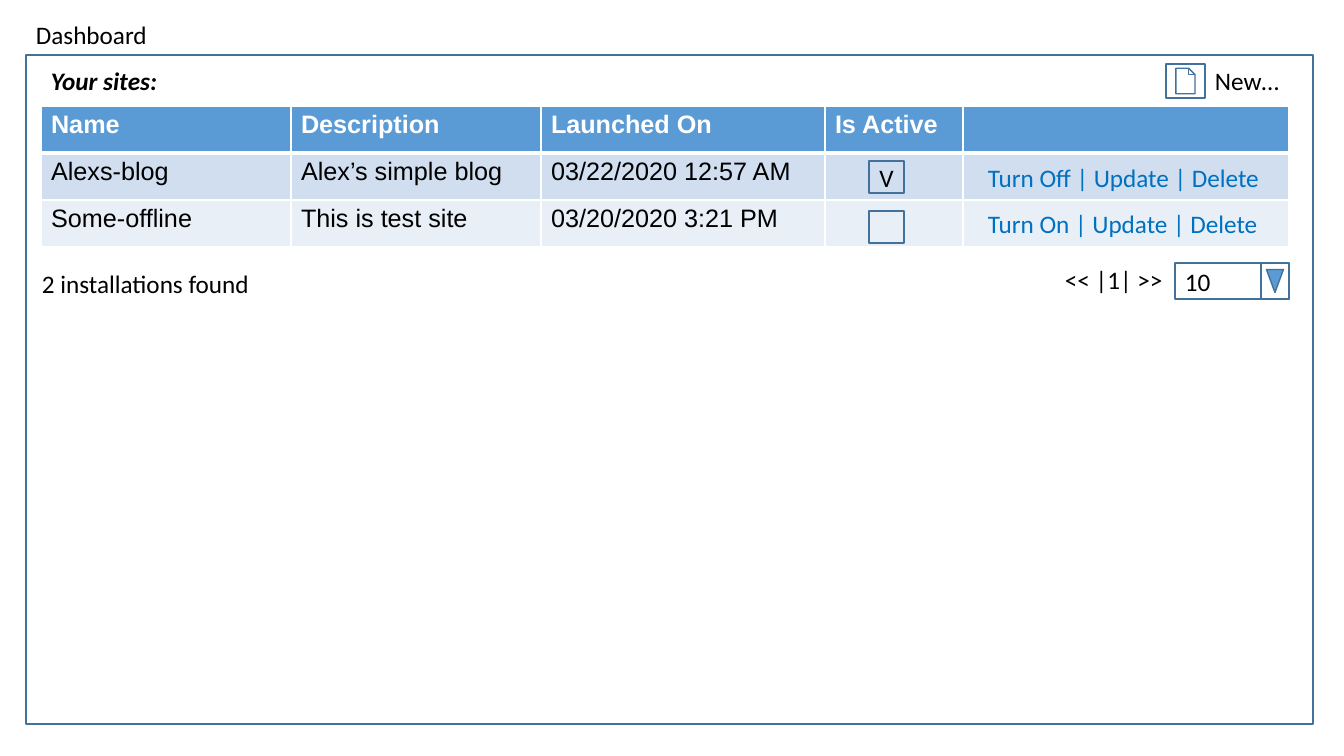
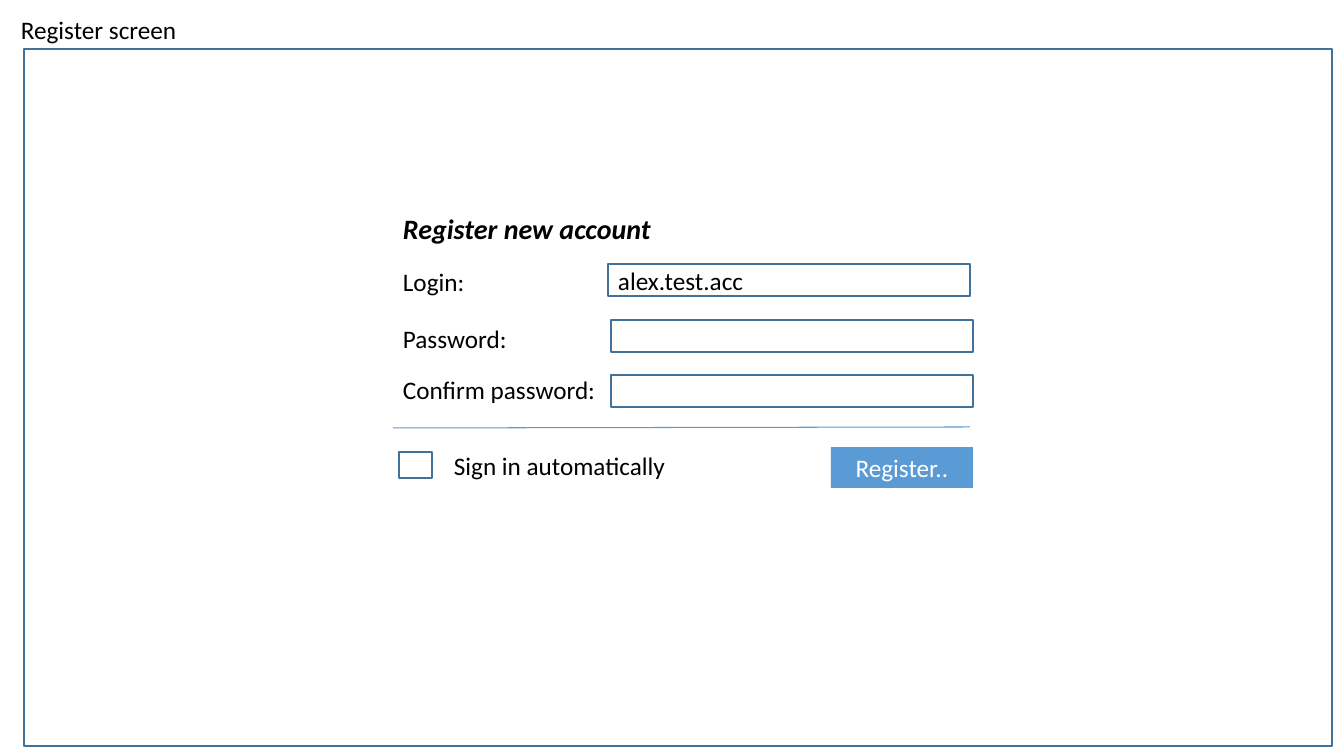
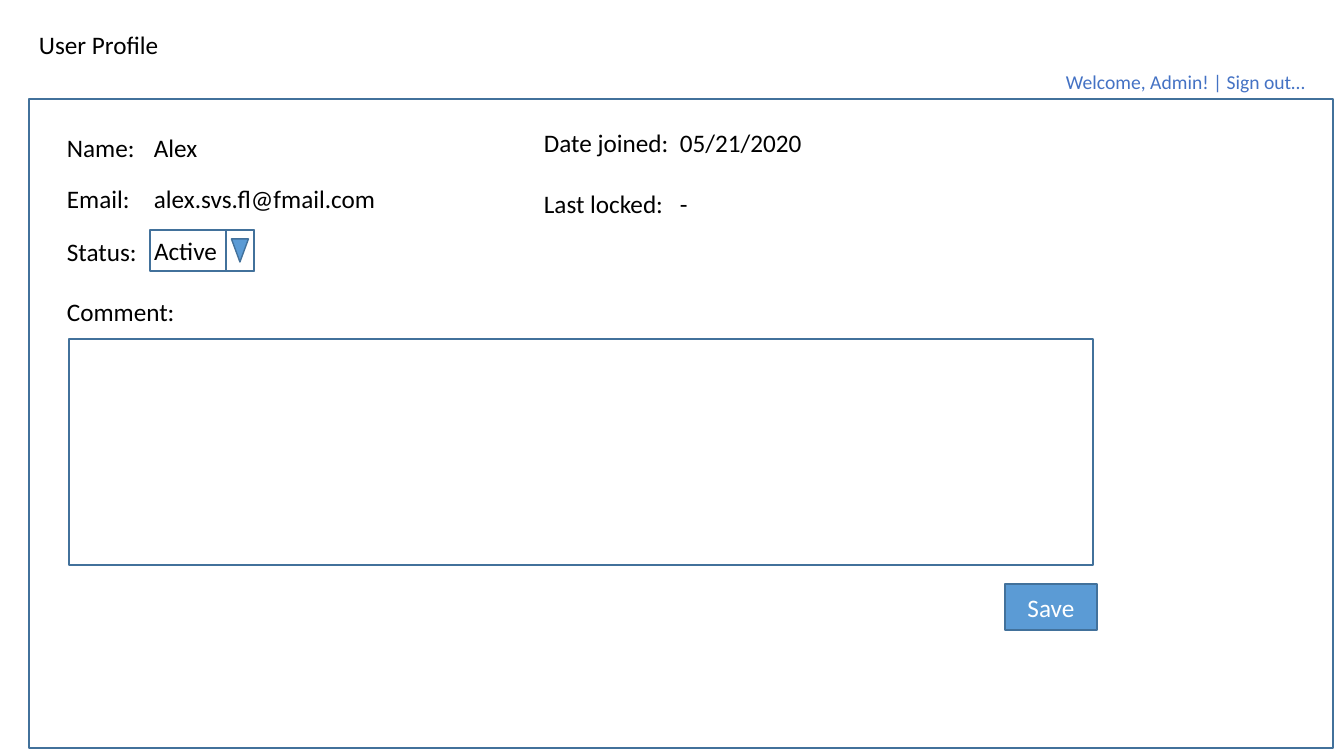
from lxml import etree
from pptx import Presentation
from pptx.dml.color import RGBColor
from pptx.enum.shapes import MSO_CONNECTOR, MSO_SHAPE
from pptx.enum.text import MSO_ANCHOR, PP_ALIGN
from pptx.oxml.ns import qn
from pptx.util import Pt

RECTANGLE = MSO_SHAPE.RECTANGLE
MERGE = MSO_SHAPE.FLOWCHART_MERGE
DOCUMENT = MSO_SHAPE.ACTION_BUTTON_DOCUMENT
STRAIGHT = MSO_CONNECTOR.STRAIGHT
MIDDLE = MSO_ANCHOR.MIDDLE
LEFT = PP_ALIGN.LEFT
CENTER = PP_ALIGN.CENTER

PX_PER_INCH = 100.8
EMU_PER_INCH = 914400


def px(length):
    return round(length * EMU_PER_INCH / PX_PER_INCH)


def color(value):
    return RGBColor.from_string(value)


class Wireframe:
    FONT = "Calibri"
    TABLE_FONT = "Arial"
    BLACK = "000000"
    WHITE = "FFFFFF"
    OUTLINE = "42719B"
    ACCENT = "5B9BD5"
    LINK = "0070C0"
    ACCOUNT = "4472C4"
    ROW_FILLS = ("D0DEEF", "E9EFF7")
    TEXT_HEIGHT = 40
    INSET = 10
    ARROW_BOX = 28
    ARROW = (17, 23)

    def __init__(self):
        self.presentation = Presentation()
        self.presentation.slide_width = px(1344)
        self.presentation.slide_height = px(756)
        self.slide = None

    def screen(self, title, title_left, title_top, frame):
        layout = self.presentation.slide_layouts[6]
        self.slide = self.presentation.slides.add_slide(layout)
        self.text(title, title_left, title_top, 300)
        self.box(*frame)

    def add_text(self, paragraph, text, size=18, ink=BLACK, font=FONT, bold=False, italic=False):
        run = paragraph.add_run()
        run.text = text
        run.font.name = font
        run.font.size = Pt(size)
        run.font.bold = bold
        run.font.italic = italic
        run.font.color.rgb = color(ink)

    def text(self, text, left, top, width, **style):
        shape = self.slide.shapes.add_textbox(px(left), px(top), px(width), px(self.TEXT_HEIGHT))
        shape.text_frame.word_wrap = True
        self.add_text(shape.text_frame.paragraphs[0], text, **style)

    def box(self, left, top, width, height, kind=RECTANGLE, fill=None, line=OUTLINE):
        shape = self.slide.shapes.add_shape(kind, px(left), px(top), px(width), px(height))
        shape.shadow.inherit = False
        if fill:
            shape.fill.solid()
            shape.fill.fore_color.rgb = color(fill)
        else:
            shape.fill.background()
        if line:
            shape.line.color.rgb = color(line)
            shape.line.width = Pt(1)
        else:
            shape.line.fill.background()
        return shape

    def label(self, shape, text, align, inset=0, ink=BLACK):
        frame = shape.text_frame
        frame.word_wrap = True
        frame.vertical_anchor = MIDDLE
        frame.margin_left = px(inset)
        frame.margin_right = frame.margin_top = frame.margin_bottom = 0
        frame.paragraphs[0].alignment = align
        self.add_text(frame.paragraphs[0], text, ink=ink)

    def field(self, left, top, width, height, text="", align=LEFT, inset=INSET):
        shape = self.box(left, top, width, height)
        if text:
            self.label(shape, text, align, inset)

    def checkbox(self, left, top, width, height, mark=""):
        self.field(left, top, width, height, mark, CENTER, 0)

    def button(self, text, left, top, width, height, line=OUTLINE):
        shape = self.box(left, top, width, height, fill=self.ACCENT, line=line)
        self.label(shape, text, CENTER, ink=self.WHITE)

    def dropdown(self, text, left, top, width, height, inset=INSET):
        self.field(left, top, width, height, text, inset=inset)
        arrow_left = left + width - self.ARROW_BOX
        self.box(arrow_left, top, self.ARROW_BOX, height)
        arrow_width, arrow_height = self.ARROW
        self.box(
            arrow_left + (self.ARROW_BOX - arrow_width) / 2,
            top + (height - arrow_height) / 2,
            arrow_width, arrow_height, MERGE, self.ACCENT,
        )

    def line(self, start, end):
        connector = self.slide.shapes.add_connector(STRAIGHT, *map(px, start + end))
        connector.line.color.rgb = color(self.ACCENT)
        connector.line.width = Pt(0.75)
        etree.SubElement(connector._element.spPr, qn("a:effectLst"))

    def cell_borders(self, cell, widths):
        properties = cell._tc.get_or_add_tcPr()
        for side, width in widths.items():
            border = etree.SubElement(properties, qn(f"a:ln{side}"), w=str(Pt(width)))
            fill = etree.SubElement(border, qn("a:solidFill"))
            etree.SubElement(fill, qn("a:srgbClr"), val=self.WHITE)

    def table(self, left, top, column_widths, row_height, rows):
        table = self.slide.shapes.add_table(
            len(rows), len(column_widths), px(left), px(top),
            px(sum(column_widths)), px(row_height * len(rows)),
        ).table
        for column, width in zip(table.columns, column_widths):
            column.width = px(width)
        for row_index, texts in enumerate(rows):
            header = row_index == 0
            fill = self.ACCENT if header else self.ROW_FILLS[(row_index - 1) % 2]
            widths = {"L": 1, "R": 1, "T": 3 if row_index == 1 else 1, "B": 3 if header else 1}
            table.rows[row_index].height = px(row_height)
            for column_index, text in enumerate(texts):
                cell = table.cell(row_index, column_index)
                self.cell_borders(cell, widths)
                cell.fill.solid()
                cell.fill.fore_color.rgb = color(fill)
                if text:
                    self.add_text(
                        cell.text_frame.paragraphs[0], text, font=self.TABLE_FONT,
                        ink=self.WHITE if header else self.BLACK, bold=header,
                    )


def build_dashboard(wireframe):
    wireframe.screen("Dashboard", 26, 14, (26, 55, 1287, 669))
    wireframe.text("Your sites:", 41, 60, 300, bold=True, italic=True)
    wireframe.box(1166, 64, 39, 34, DOCUMENT)
    wireframe.text("New…", 1205, 60, 90)
    wireframe.table(41, 106, (250, 250, 284, 138, 326), 47, (
        ("Name", "Description", "Launched On", "Is Active", ""),
        ("Alexs-blog", "Alex’s simple blog", "03/22/2020 12:57 AM", "", ""),
        ("Some-offline", "This is test site", "03/20/2020 3:21 PM", "", ""),
    ))
    for mark, box_top, actions, actions_top in (
        ("V", 161, "Turn Off | Update | Delete", 157),
        ("", 211, "Turn On | Update | Delete", 203),
    ):
        wireframe.checkbox(869, box_top, 35, 32, mark)
        wireframe.text(actions, 978, actions_top, 311, ink=wireframe.LINK)
    wireframe.text("2 installations found", 32, 263, 251)
    wireframe.text("<< |1| >>", 1055, 259, 124)
    wireframe.dropdown("10", 1175, 263, 114, 36)


def build_register(wireframe):
    wireframe.screen("Register screen", 11, 9, (24, 49, 1308, 697))
    wireframe.text("Register new account", 393, 207, 486, size=20, bold=True, italic=True)
    for label, label_top, field_left, field_top, value in (
        ("Login:", 261, 608, 264, "alex.test.acc"),
        ("Password:", 318, 611, 320, ""),
        ("Confirm password:", 369, 611, 375, ""),
    ):
        wireframe.text(label, 393, label_top, 218)
        wireframe.field(field_left, field_top, 362, 32, value)
    wireframe.line((393, 428), (970, 427))
    wireframe.checkbox(399, 452, 33, 26)
    wireframe.text("Sign in automatically", 444, 445, 289)
    wireframe.button("Register..", 831, 447, 142, 41, line=None)


def build_profile(wireframe):
    wireframe.screen("User Profile", 29, 24, (29, 99, 1304, 649))
    wireframe.text("Welcome, Admin! | Sign out…", 1056, 65, 275, size=14, ink=wireframe.ACCOUNT)
    for text, left, top in (
        ("Name:", 57, 127), ("Alex", 144, 127),
        ("Email:", 57, 178), ("alex.svs.fl@fmail.com", 144, 178),
        ("Status:", 57, 231), ("Comment:", 57, 291),
        ("Date joined:", 534, 122), ("05/21/2020", 670, 122),
        ("Last locked:", 534, 183), ("-", 670, 183),
    ):
        wireframe.text(text, left, top, 280)
    wireframe.dropdown("Active", 150, 230, 104, 41, inset=4)
    wireframe.field(69, 339, 1024, 226)
    wireframe.button("Save", 1005, 584, 92, 46)


def main():
    wireframe = Wireframe()
    build_dashboard(wireframe)
    build_register(wireframe)
    build_profile(wireframe)
    wireframe.presentation.save("out.pptx")


if __name__ == "__main__":
    main()
